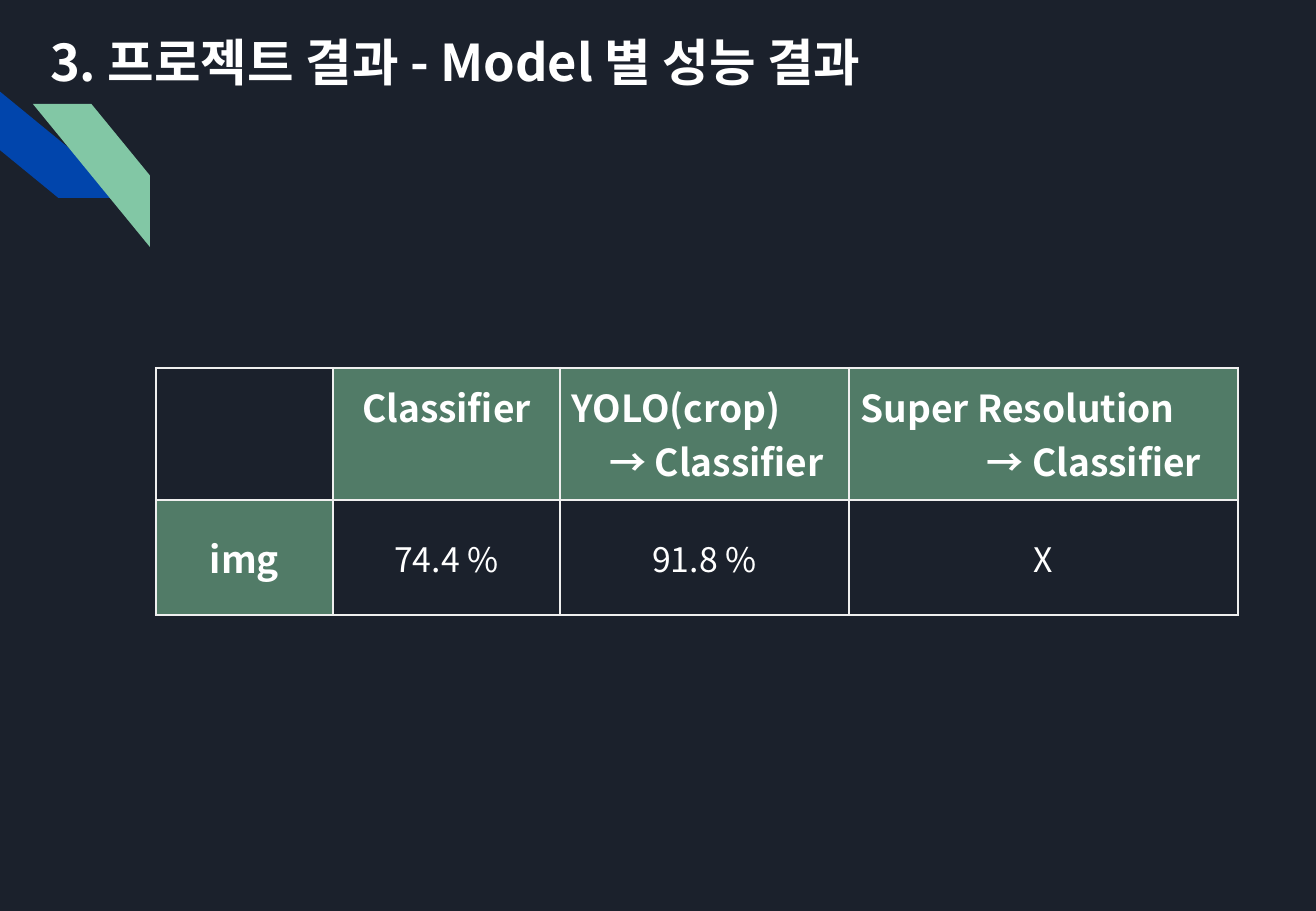
from lxml import etree
from pptx import Presentation
from pptx.dml.color import RGBColor
from pptx.enum.shapes import MSO_SHAPE
from pptx.enum.text import MSO_ANCHOR, MSO_AUTO_SIZE, PP_ALIGN
from pptx.oxml.ns import qn
from pptx.util import Pt

EMU_PER_PX = 7526
FONT = "Noto Sans CJK KR"
NAVY = RGBColor(0x1B, 0x21, 0x2C)
BLUE = RGBColor(0x01, 0x45, 0xAC)
MINT = RGBColor(0x82, 0xC7, 0xA5)
GREEN = RGBColor(0x51, 0x7B, 0x67)
WHITE = RGBColor(0xFF, 0xFF, 0xFF)
BORDER = RGBColor(0xEF, 0xEF, 0xEF)

COLUMN_WIDTHS = [177, 227, 289, 389]
ROW_HEIGHTS = [132, 115]
ROWS = [
    ["", "Classifier", "YOLO(crop)\n→ Classifier", "Super Resolution\n→ Classifier"],
    ["img", "74.4 %", "91.8 %", "X"],
]
ARROW_INDENTS = {2: 24, 3: 101}


def px(length):
    """Turn whole pixels into EMU."""
    return length * EMU_PER_PX


def format_run(run, size, bold):
    """Give a run the slide's font in white."""
    run.font.size = Pt(size)
    run.font.bold = bold
    run.font.name = FONT
    run.font.color.rgb = WHITE
    etree.SubElement(run.font._element, qn("a:ea")).set("typeface", FONT)


def set_borders(cell):
    """Draw the same line on the four sides of a cell."""
    properties = cell._tc.get_or_add_tcPr()
    for index, side in enumerate(("a:lnL", "a:lnR", "a:lnT", "a:lnB")):
        line = etree.Element(qn(side), w=str(Pt(1.5)))
        fill = etree.SubElement(line, qn("a:solidFill"))
        etree.SubElement(fill, qn("a:srgbClr")).set("val", str(BORDER))
        properties.insert(index, line)


def add_stripe(slide, box, color, rotation=0, flipped=False):
    """Add one diagonal stripe in the given box."""
    stripe = slide.shapes.add_shape(MSO_SHAPE.DIAGONAL_STRIPE, *map(px, box))
    stripe.shadow.inherit = False
    stripe.fill.solid()
    stripe.fill.fore_color.rgb = color
    stripe.line.fill.background()
    stripe.rotation = rotation
    if flipped:
        stripe._element.spPr.find(qn("a:xfrm")).set("flipH", "1")


def add_ornament(slide, left, top):
    """Add the two crossing stripes at the left edge."""
    add_stripe(slide, (left, top, 117, 143), BLUE, rotation=270)
    add_stripe(slide, (left + 33, top + 36, 117, 143), MINT, flipped=True)


def place_title(slide, box, text):
    """Move and format the title placeholder."""
    title = slide.shapes.title
    title.left, title.top, title.width, title.height = map(px, box)
    frame = title.text_frame
    frame.text = text
    frame.word_wrap = True
    frame.auto_size = MSO_AUTO_SIZE.NONE
    frame.vertical_anchor = MSO_ANCHOR.TOP
    frame.margin_left = frame.margin_right = px(15)
    frame.margin_top = frame.margin_bottom = px(15)
    paragraph = frame.paragraphs[0]
    paragraph.alignment = PP_ALIGN.LEFT
    paragraph.line_spacing = 0.9
    format_run(paragraph.runs[0], 30, True)


def fill_cell(cell, text, row, column):
    """Write and format one cell of the results table."""
    is_label = (row == 0) != (column == 0)
    if is_label:
        cell.fill.solid()
        cell.fill.fore_color.rgb = GREEN
    else:
        cell.fill.background()
    set_borders(cell)
    cell.margin_left = cell.margin_right = px(12)
    cell.margin_top = cell.margin_bottom = px(12)
    cell.vertical_anchor = MSO_ANCHOR.MIDDLE if row else MSO_ANCHOR.TOP
    cell.text_frame.text = text
    paragraphs = cell.text_frame.paragraphs
    for paragraph in paragraphs:
        paragraph.alignment = PP_ALIGN.CENTER
        for run in paragraph.runs:
            format_run(run, 22 if is_label else 20, is_label)
    if len(paragraphs) > 1:
        paragraphs[0].alignment = PP_ALIGN.LEFT
        indent = px(ARROW_INDENTS[column])
        paragraphs[1]._p.get_or_add_pPr().set("marL", str(indent))


def add_results(slide, left, top):
    """Add the table of model accuracies."""
    size = (sum(COLUMN_WIDTHS), sum(ROW_HEIGHTS))
    table = slide.shapes.add_table(
        len(ROWS), len(COLUMN_WIDTHS), *map(px, (left, top, *size))
    ).table
    for column, width in zip(table.columns, COLUMN_WIDTHS):
        column.width = px(width)
    for row, height in zip(table.rows, ROW_HEIGHTS):
        row.height = px(height)
    for row, texts in enumerate(ROWS):
        for column, text in enumerate(texts):
            fill_cell(table.cell(row, column), text, row, column)


def main():
    """Build and save the slide."""
    presentation = Presentation()
    presentation.slide_width = px(1316)
    presentation.slide_height = px(911)
    slide = presentation.slides.add_slide(presentation.slide_layouts[5])
    slide.background.fill.solid()
    slide.background.fill.fore_color.rgb = NAVY
    add_ornament(slide, 0, 68)
    add_results(slide, 156, 368)
    place_title(slide, (35, 23, 1013, 104), "3. 프로젝트 결과 - Model 별 성능 결과")
    presentation.save("out.pptx")


if __name__ == "__main__":
    main()
